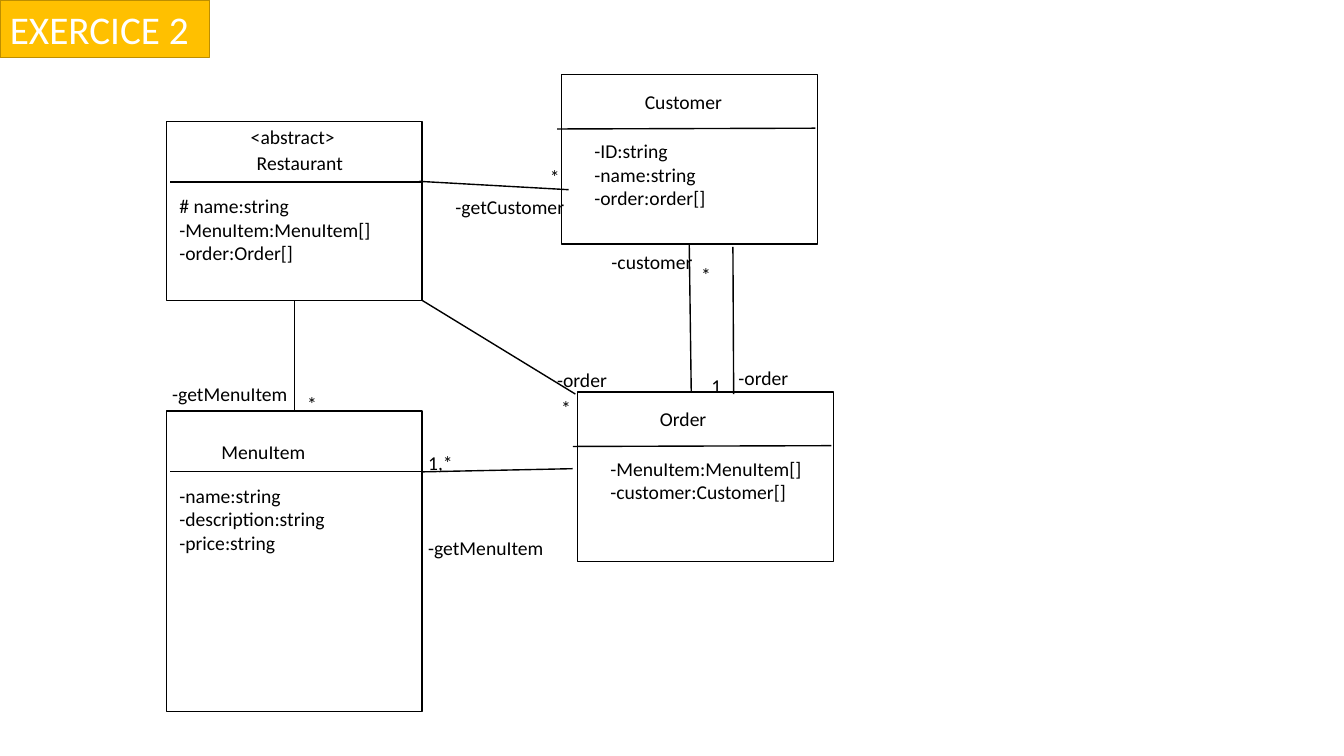
from dataclasses import dataclass

from lxml import etree
from pptx import Presentation
from pptx import util as u
from pptx.dml.color import RGBColor
from pptx.enum import shapes, text
from pptx.oxml.ns import qn


@dataclass(frozen=True)
class Theme:
    font: str = "Calibri"
    title_size: int = 28
    body_size: int = 14
    ink: str = "000000"
    paper: str = "FFFFFF"
    badge: str = "FFC000"
    badge_edge: str = "BD8E00"


@dataclass(frozen=True)
class ClassLayout:
    """Offsets in cm from the top left corner of a class box."""
    name_top: float
    divider: tuple
    attributes_at: tuple


CLASS_WIDTH = 6.45
LEFT_LAYOUT = ClassLayout(0.61, (0.1, 1.52, 6.45, 1.52), (0.08, 1.7))
RIGHT_LAYOUT = ClassLayout(0.25, (-0.11, 1.37, 6.4, 1.35), (0.58, 1.5))

# layout, left, top, height, name, name offset, name width, attributes, their width
CLASSES = [
    (LEFT_LAYOUT, 4.19, 3.07, 4.5, "Restaurant", 2.03, 2.72,
     ["# name:string", "-MenuItem:MenuItem[]", "-order:Order[]"], 5.38),
    (RIGHT_LAYOUT, 14.55, 9.88, 4.27, "Order", 1.83, 1.7,
     ["-MenuItem:MenuItem[]", "-customer:Customer[]"], 5.38),
    (LEFT_LAYOUT, 4.19, 10.36, 7.57, "MenuItem", 1.14, 2.64,
     ["-name:string", "-description:string", "-price:string"], 4.22),
    (RIGHT_LAYOUT, 14.15, 1.88, 4.27, "Customer", 1.85, 2.49,
     ["-ID:string", "-name:string", "-order:order[]"], 3.33),
]

ASSOCIATIONS = [
    (17.37, 6.17, 17.42, 9.88),
    (7.42, 7.57, 7.42, 10.36),
    (10.57, 4.57, 14.33, 4.78),
    (10.64, 11.89, 14.43, 11.81),
    (18.47, 6.22, 18.49, 9.93),
    (10.64, 7.57, 14.5, 9.93),
]

LABELS = [
    ("<abstract>", 6.07, 3.02, 2.67),
    ("-customer", 15.16, 6.17, 2.57),
    ("*", 17.42, 6.5, 0.76),
    ("-getMenuItem", 4.09, 9.5, 3.45),
    ("*", 7.49, 9.75, 0.76),
    ("-getCustomer", 11.23, 4.78, 3.28),
    ("*", 13.61, 4.04, 0.76),
    ("-getMenuItem", 10.54, 13.39, 3.45),
    ("1,*", 10.54, 11.23, 1.14),
    ("-order", 18.36, 9.09, 1.78),
    ("1", 17.68, 9.3, 0.76),
    ("-order", 13.79, 9.14, 1.78),
    ("*", 13.89, 9.86, 0.76),
]


class Diagram:
    def __init__(self, page, theme):
        self.page = page
        self.theme = theme

    def fill_text(self, box, lines, size, color):
        frame = box.text_frame
        frame.text = "\n".join(lines)
        frame.word_wrap = False
        frame.auto_size = text.MSO_AUTO_SIZE.SHAPE_TO_FIT_TEXT
        for para in frame.paragraphs:
            para.alignment = text.PP_ALIGN.LEFT
            for span in para.runs:
                span.font.name = self.theme.font
                span.font.size = u.Pt(size)
                span.font.color.rgb = RGBColor.from_string(color)

    def rectangle(self, left, top, width, height, fill, edge):
        box = self.page.shapes.add_shape(
            shapes.MSO_SHAPE.RECTANGLE, u.Cm(left), u.Cm(top), u.Cm(width), u.Cm(height))
        box.shadow.inherit = False
        box.fill.solid()
        box.fill.fore_color.rgb = RGBColor.from_string(fill)
        box.line.color.rgb = RGBColor.from_string(edge)
        box.line.width = u.Pt(1)
        return box

    def badge(self, caption, left, top, width, height):
        box = self.rectangle(left, top, width, height, self.theme.badge, self.theme.badge_edge)
        self.fill_text(box, [caption], self.theme.title_size, self.theme.paper)

    def label(self, lines, left, top, width):
        height = 0.26 + 0.6 * len(lines)
        box = self.page.shapes.add_textbox(u.Cm(left), u.Cm(top), u.Cm(width), u.Cm(height))
        self.fill_text(box, lines, self.theme.body_size, self.theme.ink)

    def line(self, *ends):
        line = self.page.shapes.add_connector(
            shapes.MSO_CONNECTOR.STRAIGHT, *(u.Cm(end) for end in ends))
        line.line.color.rgb = RGBColor.from_string(self.theme.ink)
        line.line.width = u.Pt(1)
        etree.SubElement(line._element.spPr, qn("a:effectLst"))

    def uml_class(self, layout, left, top, height, name, name_left, name_width,
                  attributes, attributes_width):
        self.rectangle(left, top, CLASS_WIDTH, height, self.theme.paper, self.theme.ink)
        x1, y1, x2, y2 = layout.divider
        self.line(left + x1, top + y1, left + x2, top + y2)
        self.label([name], left + name_left, top + layout.name_top, name_width)
        dx, dy = layout.attributes_at
        self.label(attributes, left + dx, top + dy, attributes_width)


def main():
    deck = Presentation()
    deck.slide_width, deck.slide_height = u.Cm(33.87), u.Cm(19.05)
    page = deck.slides.add_slide(deck.slide_layouts[6])
    diagram = Diagram(page, Theme())
    diagram.badge("EXERCICE 2", 0, 0, 5.28, 1.45)
    for uml_class in CLASSES:
        diagram.uml_class(*uml_class)
    for ends in ASSOCIATIONS:
        diagram.line(*ends)
    for caption, left, top, width in LABELS:
        diagram.label([caption], left, top, width)
    deck.save("out.pptx")


if __name__ == "__main__":
    main()
